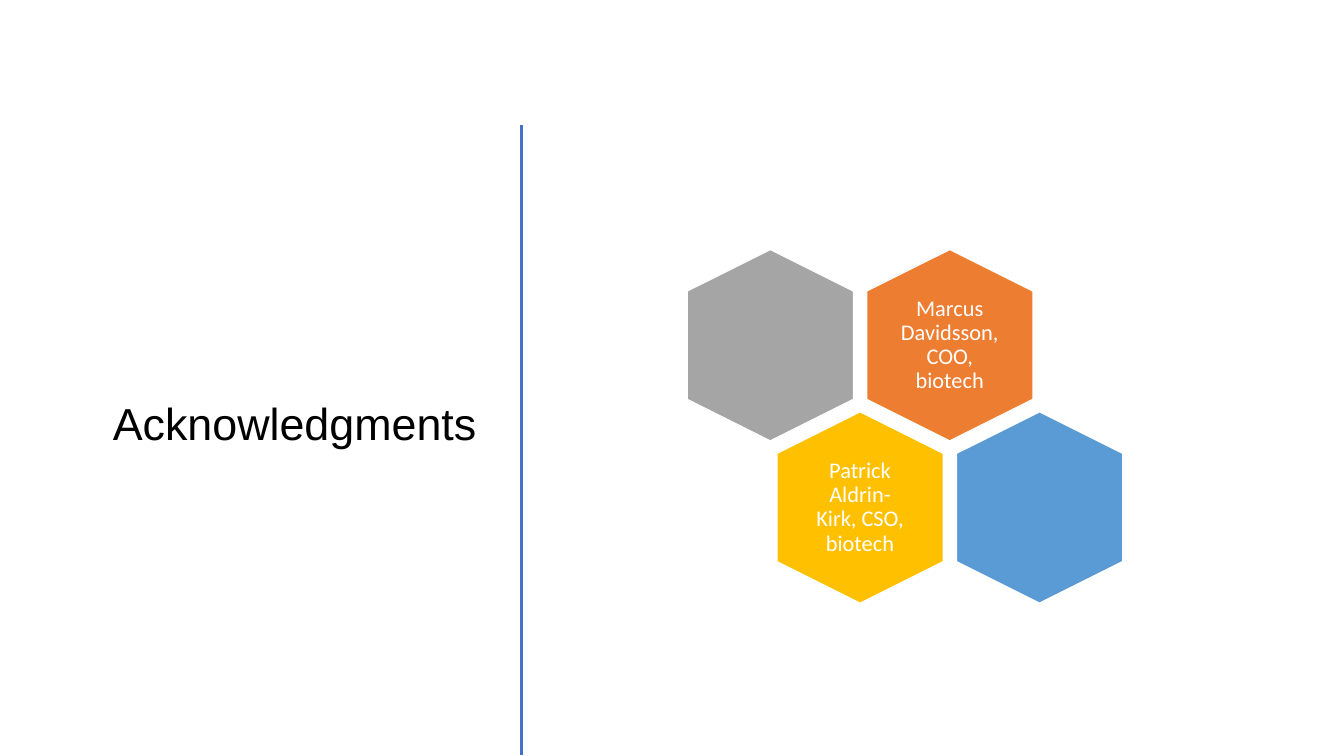
import pptx
import pptx.dml.color
import pptx.enum.shapes
import pptx.enum.text
import pptx.oxml
import pptx.util

Inches = pptx.util.Inches
Pt = pptx.util.Pt
Align = pptx.enum.text.PP_ALIGN

HEXAGONS = [
    (0, 1, "ED7D31", "Marcus Davidsson, COO, biotech"),
    (0, 0, "A5A5A5", ""),
    (1, 0, "FFC000", "Patrick Aldrin-Kirk, CSO, biotech"),
    (1, 1, "5B9BD5", ""),
]


def color(value):
    """Return the colour for a hex string."""
    return pptx.dml.color.RGBColor.from_string(value)


def apply_format(target, values):
    """Set each named attribute on the target."""
    for name, value in values.items():
        setattr(target, name, value)


def write_text(shape, text, font, size, text_color, alignment, margins):
    """Fill a shape with one vertically centred paragraph."""
    frame = shape.text_frame
    frame.text = text
    apply_format(frame, {
        "word_wrap": True,
        "auto_size": pptx.enum.text.MSO_AUTO_SIZE.NONE,
        "vertical_anchor": pptx.enum.text.MSO_ANCHOR.MIDDLE,
        **margins,
    })
    paragraph = frame.paragraphs[0]
    apply_format(paragraph, {"alignment": alignment, "line_spacing": 0.9})
    apply_format(paragraph.font, {"name": font, "size": Pt(size)})
    paragraph.font.color.rgb = color(text_color)


def place_title(slide, left, top, width, height):
    """Place the slide title in its box."""
    title = slide.shapes.title
    apply_format(title, {
        "left": Inches(left), "top": Inches(top),
        "width": Inches(width), "height": Inches(height),
    })
    write_text(title, "Acknowledgments", "Arial", 32, "000000", Align.RIGHT, {})


def add_divider(slide, left, top, height):
    """Draw the vertical line beside the title."""
    divider = slide.shapes.add_connector(
        pptx.enum.shapes.MSO_CONNECTOR.STRAIGHT,
        Inches(left), Inches(top), Inches(left), Inches(top + height))
    divider.line.color.rgb = color("4472C4")
    divider.line.width = Pt(2)
    properties = divider.element.spPr
    properties.append(pptx.oxml.parse_xml(
        '<a:effectLst xmlns:a="http://schemas.openxmlformats.org/drawingml/2006/main"/>'))


def add_hexagon(slide, left, top, fill, text):
    """Add an upright hexagon with an optional label over its centre."""
    width, height = 1.9, 1.65
    hexagon = slide.shapes.add_shape(
        pptx.enum.shapes.MSO_SHAPE.HEXAGON,
        Inches(left), Inches(top), Inches(width), Inches(height))
    hexagon.rotation = 90
    hexagon.adjustments[0] = 0.25
    hexagon.shadow.inherit = False
    hexagon.fill.solid()
    hexagon.fill.fore_color.rgb = color(fill)
    hexagon.line.color.rgb = color("FFFFFF")
    hexagon.line.width = Pt(1)
    if text:
        label_width, label_height = 1.14, 1.31
        label = slide.shapes.add_textbox(
            Inches(left + (width - label_width) / 2),
            Inches(top + (height - label_height) / 2),
            Inches(label_width), Inches(label_height))
        sides = ("left", "top", "right", "bottom")
        margins = {f"margin_{side}": Inches(0.07) for side in sides}
        write_text(label, text, "Calibri", 16, "FFFFFF", Align.CENTER, margins)


def add_honeycomb(slide, left, top):
    """Lay out the hexagons in rows shifted by half a step."""
    column_step, row_step = 1.78, 1.61
    for row, column, fill, text in HEXAGONS:
        add_hexagon(slide, left + (column + row / 2) * column_step,
                    top + row * row_step, fill, text)


def main():
    """Build and save the presentation."""
    presentation = pptx.Presentation()
    presentation.slide_width = Inches(13.33)
    presentation.slide_height = Inches(7.5)
    slide = presentation.slides.add_slide(presentation.slide_layouts[5])
    place_title(slide, 0.52, 1.17, 4.31, 6.11)
    add_divider(slide, 5.17, 1.24, 6.25)
    add_honeycomb(slide, 6.69, 2.6)
    presentation.save("out.pptx")


if __name__ == "__main__":
    main()
